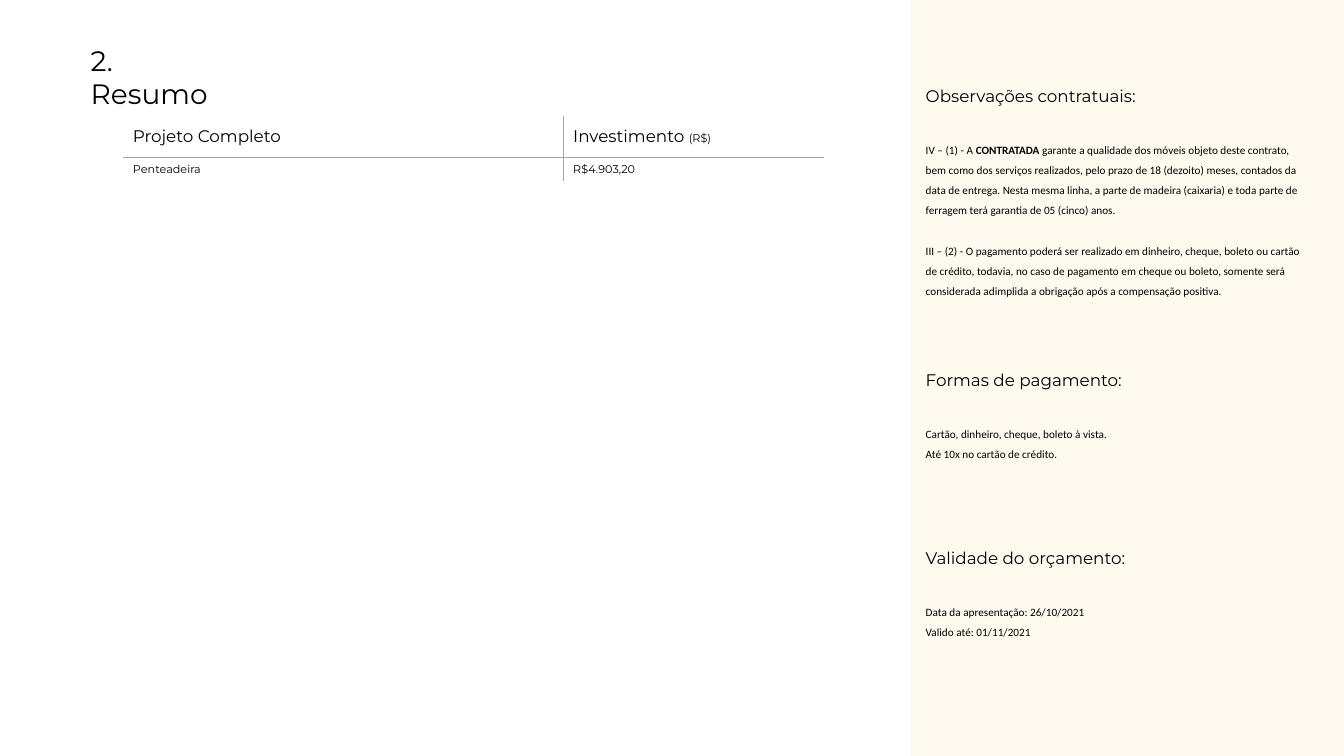
from dataclasses import dataclass

from lxml.etree import SubElement
from pptx import Presentation
from pptx.dml.color import RGBColor
from pptx.enum.shapes import MSO_SHAPE
from pptx.enum.text import MSO_ANCHOR, MSO_AUTO_SIZE, PP_ALIGN
from pptx.oxml.ns import qn
from pptx.util import Inches, Pt


@dataclass(frozen=True)
class Theme:
    ink: RGBColor = RGBColor(0, 0, 0)
    panel: RGBColor = RGBColor(0xFE, 0xFA, 0xF0)
    rule: str = "A6A6A6"
    rule_width: float = 0.45
    display: str = "Montserrat"
    body: str = "Calibri"
    title_size: int = 20
    heading_size: int = 12
    small_size: int = 8


THEME = Theme()
HEADING = dict(name=THEME.display, size=Pt(THEME.heading_size))
LABEL = dict(name=THEME.display, size=Pt(THEME.small_size))
BODY = dict(name=THEME.body, size=Pt(THEME.small_size))
BODY_BOLD = BODY | dict(bold=True)

HEADING_GAP = 22
CLAUSE_GAP = 14.6

# Each paragraph: space before in points, then its (text, format) runs.
NOTES = [
    (0.70, 2.70, "Observações contratuais:", [
        (HEADING_GAP, [
            ("IV – (1) - A ", BODY),
            ("CONTRATADA ", BODY_BOLD),
            ("garante a qualidade dos móveis objeto deste contrato, bem como dos "
             "serviços realizados, pelo prazo de 18 (dezoito) meses, contados da data "
             "de entrega. Nesta mesma linha, a parte de madeira (caixaria) e toda "
             "parte de ferragem terá garantia de 05 (cinco) anos.", BODY)]),
        (CLAUSE_GAP, [
            ("III – (2) - O pagamento poderá ser realizado em dinheiro, cheque, boleto "
             "ou cartão de crédito, todavia, no caso de pagamento em cheque ou boleto, "
             "somente será considerada adimplida a obrigação após a compensação "
             "positiva.", BODY)])]),
    (3.52, 1.30, "Formas de pagamento:", [
        (HEADING_GAP, [("Cartão, dinheiro, cheque, boleto à vista.", BODY)]),
        (0, [("Até 10x no cartão de crédito.", BODY)])]),
    (5.28, 1.10, "Validade do orçamento:", [
        (HEADING_GAP, [("Data da apresentação: 26/10/2021", BODY)]),
        (0, [("Valido até: 01/11/2021", BODY)])]),
]

SUMMARY = [
    [[("Projeto Completo", HEADING)], [("Investimento ", HEADING), ("(R$)", LABEL)]],
    [[("Penteadeira", LABEL)], [("R$4.903,20", LABEL)]],
]


def add_runs(p, runs):
    for text, fmt in runs:
        r = p.add_run()
        r.text = text
        r.font.color.rgb = THEME.ink
        for key, value in fmt.items():
            setattr(r.font, key, value)


def add_title(s, left, top, width, height):
    sp = s.shapes.title
    sp.left, sp.top, sp.width, sp.height = map(Inches, (left, top, width, height))
    tf = sp.text_frame
    tf.word_wrap = True
    tf.auto_size = MSO_AUTO_SIZE.NONE
    tf.vertical_anchor = MSO_ANCHOR.TOP
    p = tf.paragraphs[0]
    p.alignment = PP_ALIGN.LEFT
    add_runs(p, [("2. Resumo", dict(name=THEME.display, size=Pt(THEME.title_size)))])


def set_borders(cell, sides):
    """Rule the given sides (from L, R, T, B) and clear the others."""
    tc_pr = cell._tc.get_or_add_tcPr()
    for side in "LRTB":
        ln = SubElement(tc_pr, qn(f"a:ln{side}"), w=str(Pt(THEME.rule_width)))
        if side in sides:
            fill = SubElement(ln, qn("a:solidFill"))
            SubElement(fill, qn("a:srgbClr"), val=THEME.rule)
        else:
            SubElement(ln, qn("a:noFill"))


def add_summary_table(s, left, top, col_widths, row_heights):
    frame = s.shapes.add_table(
        len(row_heights), len(col_widths), Inches(left), Inches(top),
        Inches(sum(col_widths)), Inches(sum(row_heights)))
    table = frame.table
    table.first_row = table.horz_banding = False
    for column, width in zip(table.columns, col_widths):
        column.width = Inches(width)
    for row, height in zip(table.rows, row_heights):
        row.height = Inches(height)
    for i, row in enumerate(SUMMARY):
        for j, runs in enumerate(row):
            cell = table.cell(i, j)
            cell.vertical_anchor = MSO_ANCHOR.MIDDLE
            add_runs(cell.text_frame.paragraphs[0], runs)
            set_borders(cell, "RL"[j] + "BT"[i])
            cell.fill.background()


def add_note(s, left, top, width, height, heading, paragraphs):
    box = s.shapes.add_textbox(*map(Inches, (left, top, width, height)))
    tf = box.text_frame
    tf.word_wrap = True
    for i, (gap, runs) in enumerate([(0, [(heading, HEADING)]), *paragraphs]):
        p = tf.add_paragraph() if i else tf.paragraphs[0]
        p.line_spacing = 1.5
        p.space_before = Pt(gap)
        add_runs(p, runs)


def add_notes_panel(s, left, top, width, height):
    panel = s.shapes.add_shape(
        MSO_SHAPE.RECTANGLE, *map(Inches, (left, top, width, height)))
    panel.shadow.inherit = False
    panel.fill.solid()
    panel.fill.fore_color.rgb = THEME.panel
    panel.line.fill.background()
    for offset, note_height, heading, paragraphs in NOTES:
        add_note(s, left + 0.05, top + offset, 4.01, note_height, heading, paragraphs)


def main():
    prs = Presentation()
    prs.slide_width, prs.slide_height = Inches(13.34), Inches(7.5)
    s = prs.slides.add_slide(prs.slide_layouts[5])
    add_notes_panel(s, 9.04, 0, 4.3, 7.5)
    add_title(s, 0.8, 0.38, 1.57, 0.77)
    add_summary_table(s, 1.22, 1.15, (4.37, 2.59), (0.41, 0.23))
    prs.save("out.pptx")


if __name__ == "__main__":
    main()
